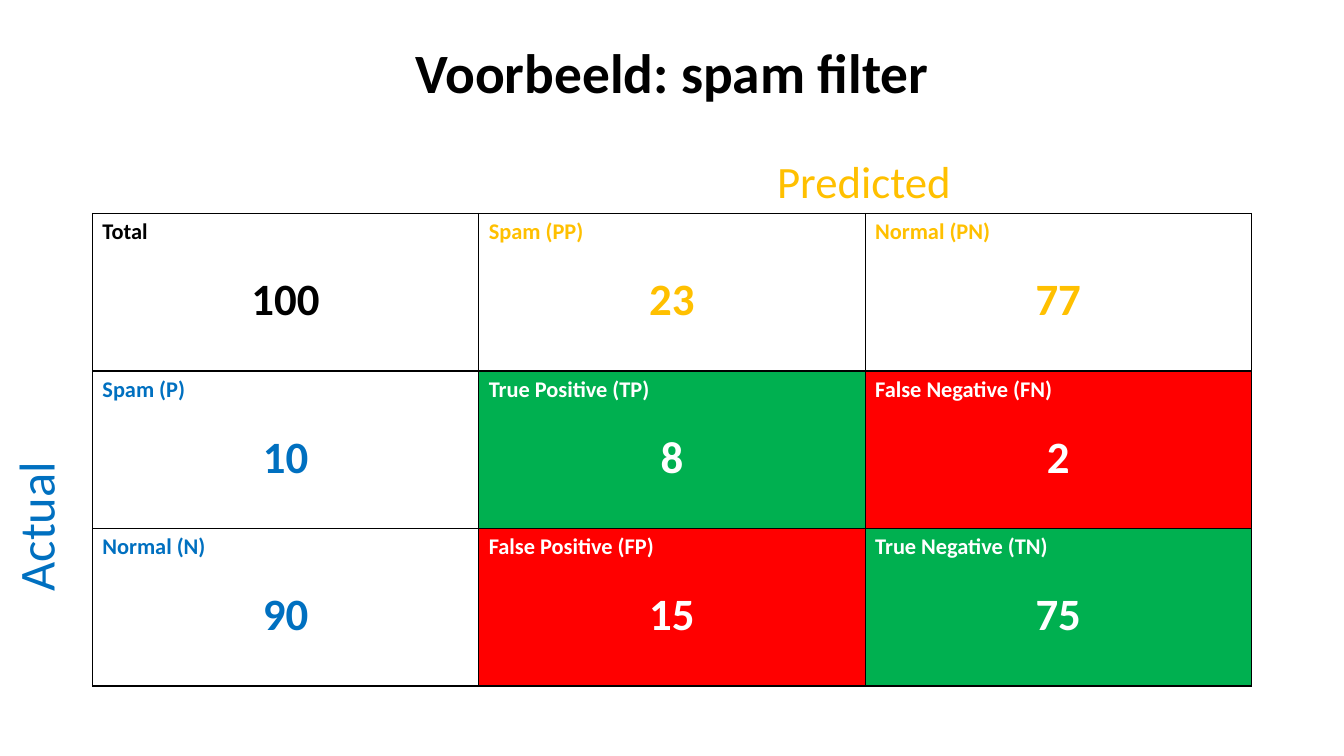
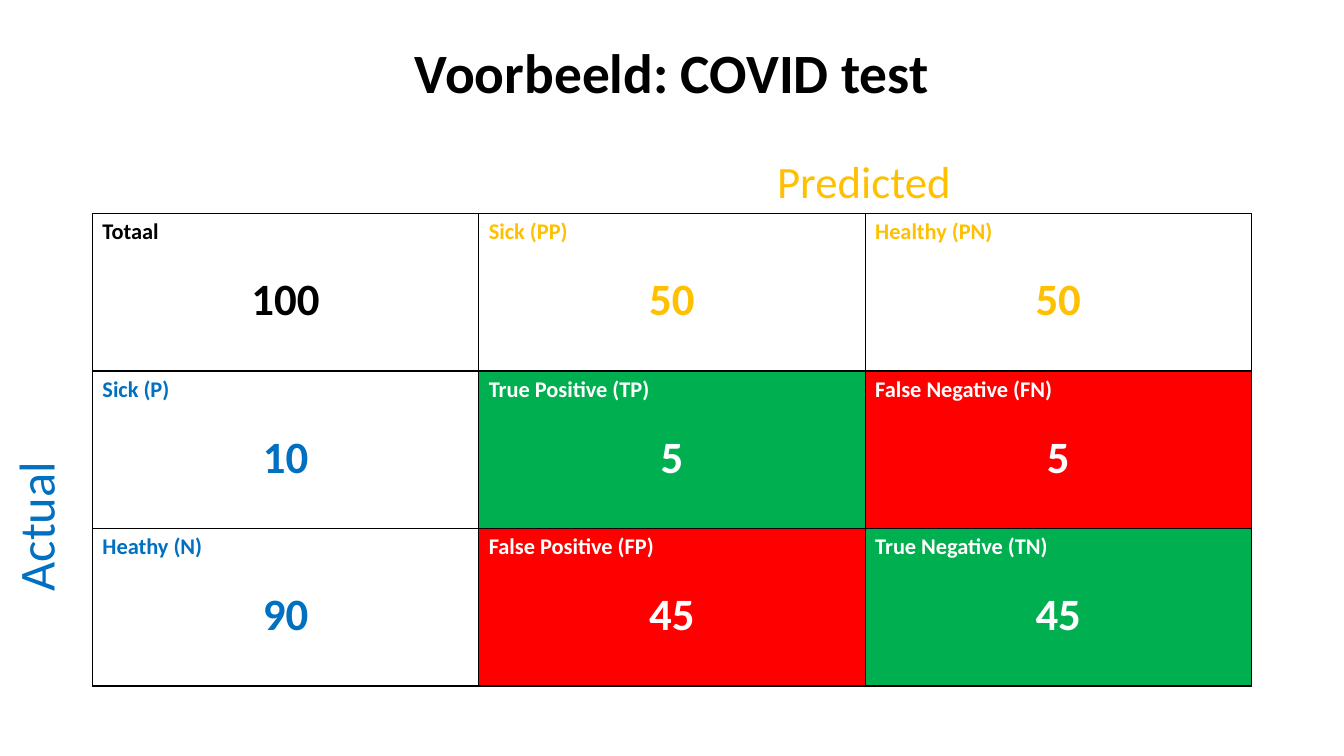
from lxml.etree import fromstring
from pptx import Presentation
from pptx.dml.color import RGBColor
from pptx.enum.text import MSO_ANCHOR, MSO_AUTO_SIZE, PP_ALIGN
from pptx.util import Pt

# Shared style
FONT = "Calibri"
BLACK, WHITE = "000000", "FFFFFF"
PREDICTED, ACTUAL = "FFC000", "0070C0"
CORRECT, WRONG = "00B050", "FF0000"
TEXT_COLOURS = [[BLACK, PREDICTED, PREDICTED], [ACTUAL, WHITE, WHITE], [ACTUAL, WHITE, WHITE]]
FILLS = [[WHITE, WHITE, WHITE], [WHITE, CORRECT, WRONG], [WHITE, WRONG, CORRECT]]
LEFT, WIDTH = 66, 828
MATRIX_TOP, ROW_HEIGHT = 152.5, 112.5
DRAWING_NS = "http://schemas.openxmlformats.org/drawingml/2006/main"

# Per slide: title, matrix headings, and counts of TP, FN, FP, TN
EXAMPLES = [
    ("Voorbeeld: spam filter",
     ("Total", "Spam (PP)", "Normal (PN)", "Spam (P)", "Normal (N)"), (8, 2, 15, 75)),
    ("Voorbeeld: COVID test",
     ("Totaal", "Sick (PP)", "Healthy (PN)", "Sick (P)", "Heathy (N)"), (5, 5, 45, 45)),
]

# Axis labels: text, box, rotation, size, colour
AXES = [
    ("Actual", (-29, 350, 108, 51), 270, 36, ACTUAL),
    ("Predicted", (548, 106.5, 140, 46), 0, 32, PREDICTED),
]


def rgb(colour):
    return RGBColor.from_string(colour)


def write(paragraph, text, size=16, colour=BLACK, bold=True, align=PP_ALIGN.LEFT, before=0, spacing=1.0):
    paragraph.alignment = align
    paragraph.space_before = Pt(before)
    paragraph.line_spacing = spacing
    run = paragraph.add_run()
    run.text = text
    run.font.name = FONT
    run.font.size = Pt(size)
    run.font.bold = bold
    run.font.color.rgb = rgb(colour)


prs = Presentation()
prs.slide_width, prs.slide_height = Pt(960), Pt(540)

for heading, (total, pred_pos, pred_neg, pos, neg), (tp, fn, fp, tn) in EXAMPLES:
    slide = prs.slides.add_slide(prs.slide_layouts[5])

    # Title
    title = slide.shapes.title
    title.left, title.top, title.width, title.height = Pt(LEFT), Pt(29), Pt(WIDTH), Pt(49.5)
    title.text_frame.auto_size = MSO_AUTO_SIZE.NONE
    title.text_frame.vertical_anchor = MSO_ANCHOR.MIDDLE
    write(title.text_frame.paragraphs[0], heading, size=39.6, align=PP_ALIGN.CENTER, spacing=0.9)

    # Confusion matrix, with totals worked out from the four counts
    entries = [
        [(total, tp + fn + fp + tn), (pred_pos, tp + fp), (pred_neg, fn + tn)],
        [(pos, tp + fn), ("True Positive (TP)", tp), ("False Negative (FN)", fn)],
        [(neg, fp + tn), ("False Positive (FP)", fp), ("True Negative (TN)", tn)],
    ]
    matrix = slide.shapes.add_table(
        3, 3, Pt(LEFT), Pt(MATRIX_TOP), Pt(WIDTH), Pt(3 * ROW_HEIGHT)).table
    matrix.first_row = matrix.horz_banding = False
    for r, row in enumerate(entries):
        for c, (label, count) in enumerate(row):
            cell = matrix.cell(r, c)
            cell.fill.solid()
            cell.fill.fore_color.rgb = rgb(FILLS[r][c])
            colour = TEXT_COLOURS[r][c]
            write(cell.text_frame.paragraphs[0], label, colour=colour)
            write(cell.text_frame.add_paragraph(), str(count), size=32, colour=colour,
                  align=PP_ALIGN.CENTER, before=19.5)
            # Borders come before the fill in the cell properties
            for i, side in enumerate("LRTB"):
                cell._tc.get_or_add_tcPr().insert(i, fromstring(
                    f'<a:ln{side} xmlns:a="{DRAWING_NS}" w="{Pt(1)}"><a:solidFill>'
                    f'<a:srgbClr val="{BLACK}"/></a:solidFill></a:ln{side}>'))

    # Axis labels
    for text, box, rotation, size, colour in AXES:
        axis = slide.shapes.add_textbox(*map(Pt, box))
        axis.rotation = rotation
        axis.text_frame.word_wrap = False
        axis.text_frame.auto_size = MSO_AUTO_SIZE.SHAPE_TO_FIT_TEXT
        write(axis.text_frame.paragraphs[0], text, size=size, colour=colour, bold=False)

prs.save("out.pptx")
